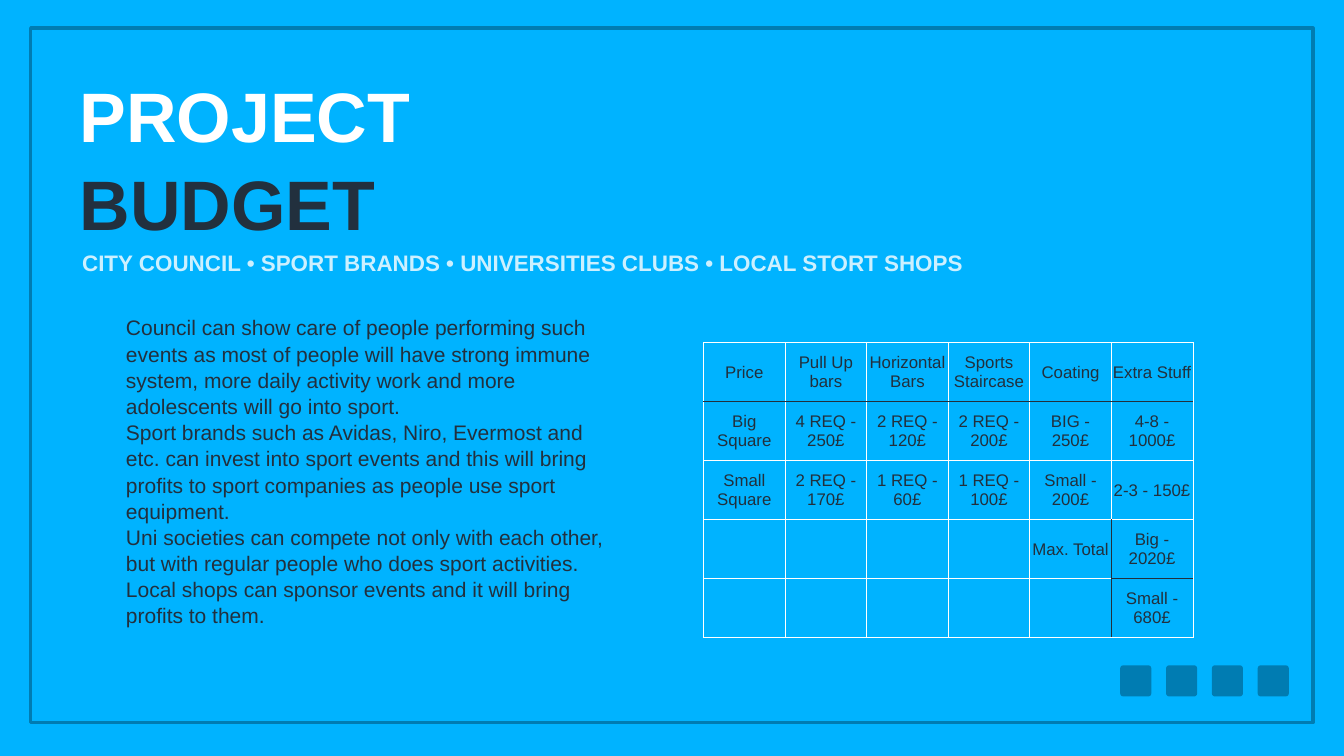
import pptx
import pptx.util
import pptx.dml.color
import pptx.enum.shapes
import pptx.enum.text
import lxml.etree
import pptx.oxml.ns

Cm, Pt = pptx.util.Cm, pptx.util.Pt
RGBColor = pptx.dml.color.RGBColor
SHAPE = pptx.enum.shapes.MSO_SHAPE
MIDDLE = pptx.enum.text.MSO_ANCHOR.MIDDLE
CENTER = pptx.enum.text.PP_ALIGN.CENTER

SKY = RGBColor(0x00, 0xB3, 0xFF)
BLUE = RGBColor(0x00, 0x7C, 0xB2)
PALE = RGBColor(0xCC, 0xF0, 0xFF)
WHITE = RGBColor(0xFF, 0xFF, 0xFF)
NAVY = RGBColor(0x22, 0x30, 0x3E)
INK = RGBColor(0x22, 0x30, 0x3D)


def add_text(left, top, width, height, lines, size, bold, colors, space, wrap):
    box = slide.shapes.add_textbox(Cm(left), Cm(top), Cm(width), Cm(height))
    frame = box.text_frame
    frame.word_wrap = wrap
    frame.vertical_anchor = MIDDLE
    frame.margin_left = frame.margin_right = Cm(0.15)
    frame.margin_top = frame.margin_bottom = Cm(0.15)
    frame.text = "\n".join(lines)
    for para, color in zip(frame.paragraphs, colors):
        para.line_spacing = space
        para.font.name = "Arial"
        para.font.size = Pt(size)
        para.font.bold = bold
        para.font.color.rgb = color


def add_edge(cell, side):
    props = cell._tc.get_or_add_tcPr()
    edge = lxml.etree.Element(pptx.oxml.ns.qn("a:" + side), w=str(Pt(1)))
    fill = lxml.etree.SubElement(edge, pptx.oxml.ns.qn("a:solidFill"))
    lxml.etree.SubElement(fill, pptx.oxml.ns.qn("a:srgbClr"), val=str(INK))
    # Edges come before the cell fill, in the order left, right, top, bottom
    count = sum(child.tag.split("}")[1].startswith("ln") for child in props)
    props.insert(count, edge)


deck = pptx.Presentation()
deck.slide_width, deck.slide_height = Cm(67.74), Cm(38.1)
slide = deck.slides.add_slide(deck.slide_layouts[6])

# Backdrop and frame
back = slide.shapes.add_shape(SHAPE.RECTANGLE, 0, 0, deck.slide_width, deck.slide_height)
back.shadow.inherit = False
back.fill.solid()
back.fill.fore_color.rgb = SKY
back.line.fill.background()

frame = slide.shapes.add_shape(SHAPE.RECTANGLE, Cm(1.55), Cm(1.42), Cm(64.62), Cm(35))
frame.shadow.inherit = False
frame.fill.background()
frame.line.color.rgb = BLUE
frame.line.width = Pt(5)

# Social badges
for i in range(4):
    badge = slide.shapes.add_shape(
        SHAPE.ROUNDED_RECTANGLE, Cm(56.46 + 2.31 * i), Cm(33.53), Cm(1.57), Cm(1.57))
    badge.adjustments[0] = 0.1
    badge.shadow.inherit = False
    badge.fill.solid()
    badge.fill.fore_color.rgb = BLUE
    badge.line.fill.background()

# Title, subtitle and body
add_text(3.86, 3.48, 17.12, 8.84, ["PROJECT", "BUDGET"], 100, True, [WHITE, NAVY], 1.04, False)
add_text(3.99, 12.4, 45.19, 1.65,
         ["CITY COUNCIL • SPORT BRANDS • UNIVERSITIES CLUBS • LOCAL STORT SHOPS"],
         32, True, [PALE], 1, False)
body = [
    "Council can show care of people performing such events as most of people will have "
    "strong immune system, more daily activity work and more adolescents will go into sport.",
    "Sport brands such as Avidas, Niro, Evermost and etc. can invest into sport events and "
    "this will bring profits to sport companies as people use sport equipment.",
    "Uni societies can compete not only with each other, but with regular people who does "
    "sport activities.",
    "Local shops can sponsor events and it will bring profits to them.",
]
add_text(6.2, 16.54, 25.12, 14.4, body, 30, False, [NAVY] * 4, 1.04, True)

# Price table
rows = [
    ["Price", "Pull Up bars", "Horizontal Bars", "Sports Staircase", "Coating", "Extra Stuff"],
    ["Big Square", "4 REQ - 250£", "2 REQ - 120£", "2 REQ - 200£", "BIG - 250£", "4-8 - 1000£"],
    ["Small Square", "2 REQ - 170£", "1 REQ - 60£", "1 REQ - 100£", "Small - 200£", "2-3 - 150£"],
    ["", "", "", "", "Max. Total", "Big - 2020£"],
    ["", "", "", "", "", "Small - 680£"],
]
table = slide.shapes.add_table(5, 6, Cm(35.46), Cm(17.27), Cm(24.66), Cm(14.85)).table
table.first_row = table.horz_banding = False
for col in table.columns:
    col.width = Cm(4.11)
for r, row in enumerate(rows):
    table.rows[r].height = Cm(2.97)
    for c, text in enumerate(row):
        cell = table.cell(r, c)
        cell.fill.background()
        cell.vertical_anchor = MIDDLE
        cell.margin_left = cell.margin_right = cell.margin_top = Cm(0.03)
        cell.margin_bottom = 0
        cell.text = text
        para = cell.text_frame.paragraphs[0]
        para.alignment = CENTER
        para.font.name = "Arial"
        para.font.size = Pt(24)
        para.font.color.rgb = INK
        # Rules under the header, and beside and between the totals
        if r > 2 and c == 5:
            add_edge(cell, "lnL")
        if r > 2 and c == 4:
            add_edge(cell, "lnR")
        if r == 1 or (r, c) == (4, 5):
            add_edge(cell, "lnT")
        if r == 0 or (r, c) == (3, 5):
            add_edge(cell, "lnB")

deck.save("out.pptx")
